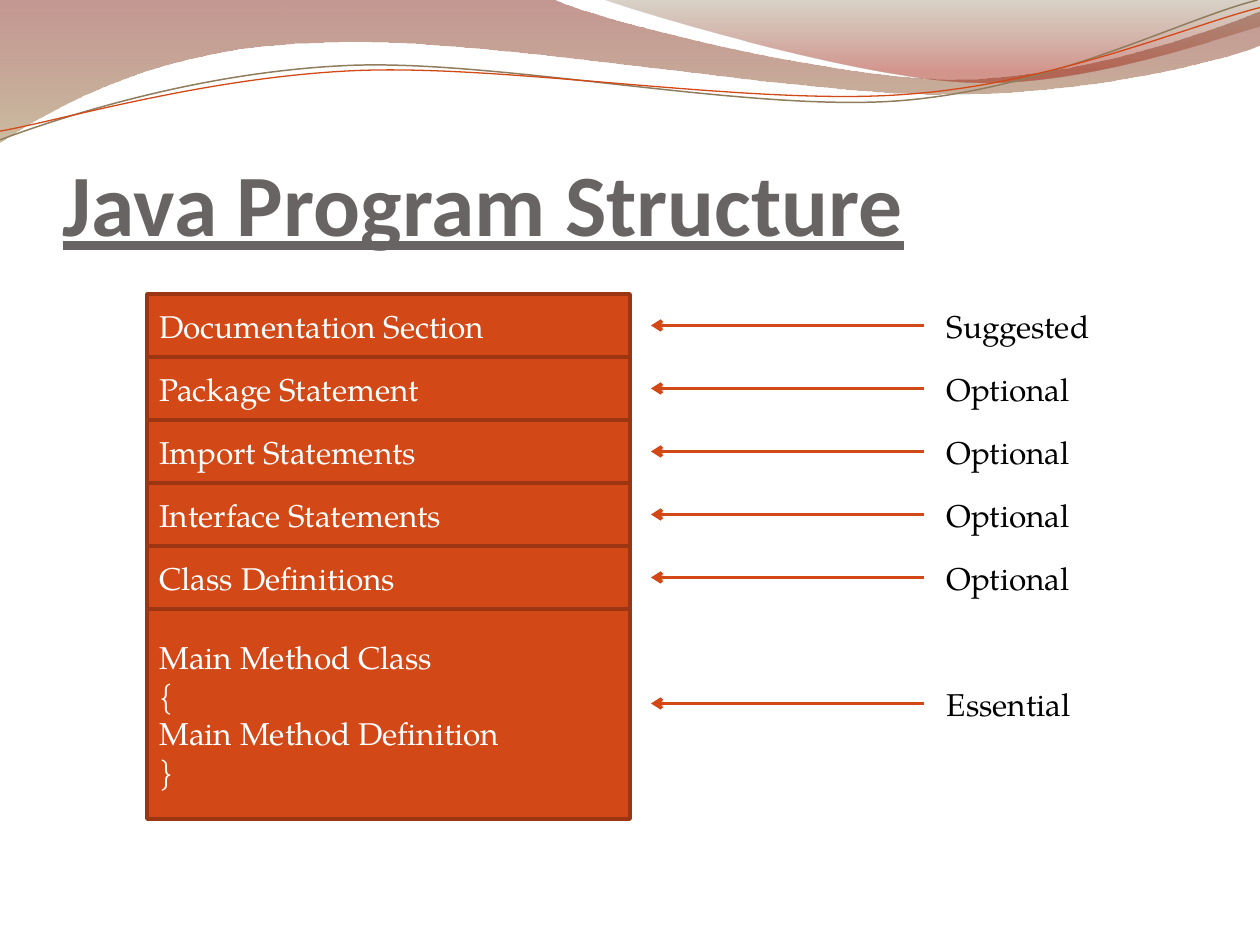
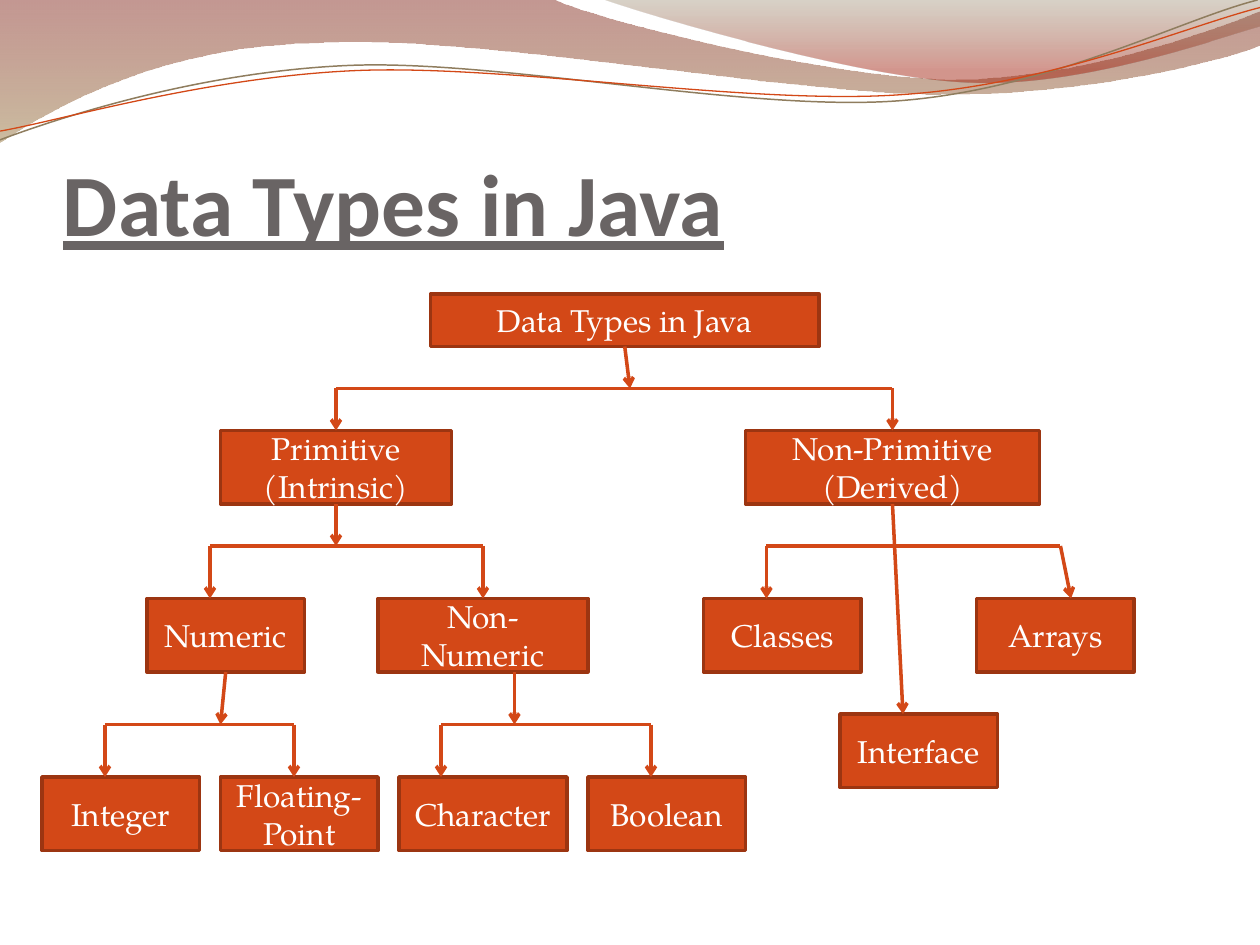
from dataclasses import dataclass

from lxml.etree import SubElement
from pptx import Presentation
from pptx.dml.color import RGBColor as RGB
from pptx.enum.shapes import MSO_CONNECTOR as LINK, MSO_SHAPE as SHAPE
from pptx.enum.text import MSO_ANCHOR as ANCHOR, PP_ALIGN as ALIGN
from pptx.oxml.ns import qn
from pptx.util import Pt


@dataclass(frozen=True)
class Theme:
    accent: str = "D34817"
    edge: str = "9C3511"
    title: str = "696464"
    olive: str = "8F7D5E"
    white: str = "FFFFFF"
    black: str = "000000"
    heading_font: str = "Calibri"
    body_font: str = "TeX Gyre Pagella"
    heading_size: int = 50
    body_size: int = 18
    stroke: int = 2


theme = Theme()
heading_type = dict(name=theme.heading_font, size=Pt(theme.heading_size), bold=True, underline=True)
body_type = dict(name=theme.body_font, size=Pt(theme.body_size))
heading_frame = dict(margin_left=0, margin_top=Pt(3.6), margin_right=0, margin_bottom=0,
                     vertical_anchor=ANCHOR.BOTTOM, word_wrap=True)
body_frame = dict(vertical_anchor=ANCHOR.MIDDLE, word_wrap=True)


def add_text(slide, text, area, color, fill=None, edge=None, align=ALIGN.LEFT,
             frame_format=body_frame, font_format=body_type):
    """Add a filled rectangle, or a plain text box when no fill is given."""
    area = [Pt(length) for length in area]
    if fill is None:
        box = slide.shapes.add_textbox(*area)
    else:
        box = slide.shapes.add_shape(SHAPE.RECTANGLE, *area)
        box.shadow.inherit = False
        box.fill.solid()
        box.fill.fore_color.rgb = RGB.from_string(fill)
        box.line.color.rgb = RGB.from_string(edge)
        box.line.width = Pt(theme.stroke)
    frame = box.text_frame
    for key, value in frame_format.items():
        setattr(frame, key, value)
    frame.text = text
    for paragraph in frame.paragraphs:
        paragraph.alignment = align
        font = paragraph.runs[0].font
        font.color.rgb = RGB.from_string(color)
        for key, value in font_format.items():
            setattr(font, key, value)
    return box


def add_link(slide, x1, y1, x2, y2, arrow=True, boxes=()):
    """Draw a line and join it to any box whose top or bottom centre it meets."""
    link = slide.shapes.add_connector(LINK.STRAIGHT, Pt(x1), Pt(y1), Pt(x2), Pt(y2))
    link.line.color.rgb = RGB.from_string(theme.accent)
    link.line.width = Pt(theme.stroke)
    if arrow:
        SubElement(link.get_or_add_ln(), qn("a:tailEnd"), type="arrow")
    SubElement(link.element.spPr, qn("a:effectLst"))
    for box in boxes:
        center = box.left + box.width // 2
        if (link.begin_x, link.begin_y) == (center, box.top + box.height):
            link.begin_connect(box, 2)
        if (link.end_x, link.end_y) == (center, box.top):
            link.end_connect(box, 0)


deck = Presentation()
deck.slide_width, deck.slide_height = Pt(720), Pt(540)
structure, types_tree = [deck.slides.add_slide(deck.slide_layouts[6]) for _ in range(2)]
for slide, title in ((structure, "Java Program Structure"), (types_tree, "Data Types in Java")):
    add_text(slide, title, (36, 55.4, 648, 90), theme.title,
             frame_format=heading_frame, font_format=heading_type)

# Header waves: two numbers are a straight step, six a Bézier curve
waves = [
    dict(start=(0, 0),
         steps=[(316.8, 0), (342.7, 12.2, 478.1, 45.4, 545.8, 45.4),
                (614.2, 45.4, 689.8, 18.7, 720, 6.5), (720, 25.9),
                (707.8, 31.7, 626.4, 54.7, 537.1, 54), (447.8, 54, 275, 20.2, 185, 24.5),
                (92.9, 25.9, 33.1, 59.8, 0, 81.4)],
         stops=[(0, "7C1A0E", 45), (1, "A18552", 55)]),
    dict(start=(344.9, 0),
         steps=[(366.5, 7.9, 491, 44.6, 553.7, 46.8), (616.3, 49.7, 691.9, 23, 720, 15.1), (720, 0)],
         stops=[(0, "7E6B48", 30), (0.8, "9F1705", 45)]),
    dict(start=(0, 79.9),
         steps=[(34.6, 67, 113.8, 41, 199.4, 37.4), (284.4, 33.8, 427, 64.1, 513.4, 57.6),
                (599.8, 51.1, 675.4, 10.8, 718.6, 0)],
         stroke=(theme.olive, 0.85)),
    dict(start=(0, 74.9),
         steps=[(33.8, 69.1, 118.1, 43.9, 203.8, 40.3), (290.2, 36.7, 429.8, 60.5, 516.2, 54),
                (601.9, 48.2, 677.5, 15.1, 720, 4.3)],
         stroke=(theme.accent, 0.75)),
]
master_tree = deck.slide_master.shapes.element
for number, wave in enumerate(waves):
    points = [(Pt(x), Pt(y)) for step in wave["steps"] for x, y in zip(step[::2], step[1::2])]
    builder = structure.shapes.build_freeform(*[Pt(length) for length in wave["start"]])
    builder.add_line_segments(points, close="stops" in wave)
    outline = builder.convert_to_shape()

    # Merge each group of three straight segments into one curve
    path_element = next(outline.element.iter(qn("a:path")))
    segments = iter(path_element.findall(qn("a:lnTo")))
    for step in wave["steps"]:
        segment = next(segments)
        if len(step) == 6:
            segment.tag = qn("a:cubicBezTo")
            for _ in range(2):
                extra = next(segments)
                segment.append(extra[0])
                path_element.remove(extra)

    outline.shadow.inherit = False
    if "stops" in wave:
        outline.line.fill.background()
        outline.fill.gradient()
        outline.fill.gradient_angle = 270
        for stop, (position, color, _) in zip(outline.fill.gradient_stops, wave["stops"]):
            stop.position = position
            stop.color.rgb = RGB.from_string(color)
        for tint, (_, _, opacity) in zip(outline.element.spPr.iter(qn("a:srgbClr")), wave["stops"]):
            SubElement(tint, qn("a:alpha"), val=str(opacity * 1000))
    else:
        color, width = wave["stroke"]
        outline.fill.background()
        outline.line.color.rgb = RGB.from_string(color)
        outline.line.width = Pt(width)

    # The master carries the waves for every slide
    next(outline.element.iter(qn("p:cNvPr"))).set("id", str(100 + number))
    master_tree.append(outline.element)

# Program structure: sections from top to bottom, each with its status
row = 36
sections = [
    ("Documentation Section", "Suggested"),
    ("Package Statement", "Optional"),
    ("Import Statements", "Optional"),
    ("Interface Statements", "Optional"),
    ("Class Definitions", "Optional"),
    ("Main Method Class\n{\nMain Method Definition\n}", "Essential"),
]
for i, (section, status) in enumerate(sections):
    top = 168 + i * row
    is_main = status == "Essential"
    status_top = top + row if is_main else top
    add_text(structure, section, (84, top, 276, 120 if is_main else row),
             theme.white, theme.accent, theme.edge)
    add_text(structure, status, (534, status_top, 138, row),
             theme.black, theme.white, theme.white)
    add_link(structure, 528, status_top + row / 2, 372, status_top + row / 2)

# Data types: each level lists (name, left, width)
levels = [
    (168, 30, [("Data Types in Java", 246, 222)]),
    (246, 42, [("Primitive (Intrinsic)", 126, 132), ("Non-Primitive (Derived)", 426, 168)]),
    (342, 42, [("Numeric", 84, 90), ("Non-Numeric", 216, 120),
               ("Classes", 402, 90), ("Arrays", 558, 90)]),
    (408, 42, [("Interface", 480, 90)]),
    (444, 42, [("Integer", 24, 90), ("Floating-Point", 126, 90),
               ("Character", 228, 96), ("Boolean", 336, 90)]),
]
nodes = [add_text(types_tree, name, (left, top, width, height),
                  theme.white, theme.accent, theme.edge, ALIGN.CENTER)
         for top, height, names in levels for name, left, width in names]

# Branches: stem from the parent, bar height, bar ends, drop ends, child top
branches = [
    ((357, 198, 360, 222), 222, (192, 510), (192, 510), 246),
    ((192, 288, 192, 312), 312, (120, 276), (120, 276), 342),
    ((510, 288, 516, 408), 312, (438, 606), (438, 612), 342),
    ((129, 384, 126, 414), 414, (60, 168), (60, 168), 444),
    ((294, 384, 294, 414), 414, (252, 372), (252, 372), 444),
]
for stem, bar, bar_ends, drop_ends, child_top in branches:
    add_link(types_tree, bar_ends[0], bar, bar_ends[1], bar, arrow=False)
    add_link(types_tree, *stem, boxes=nodes)
    for bar_x, drop_x in zip(bar_ends, drop_ends):
        add_link(types_tree, bar_x, bar, drop_x, child_top, boxes=nodes)

deck.save("out.pptx")
